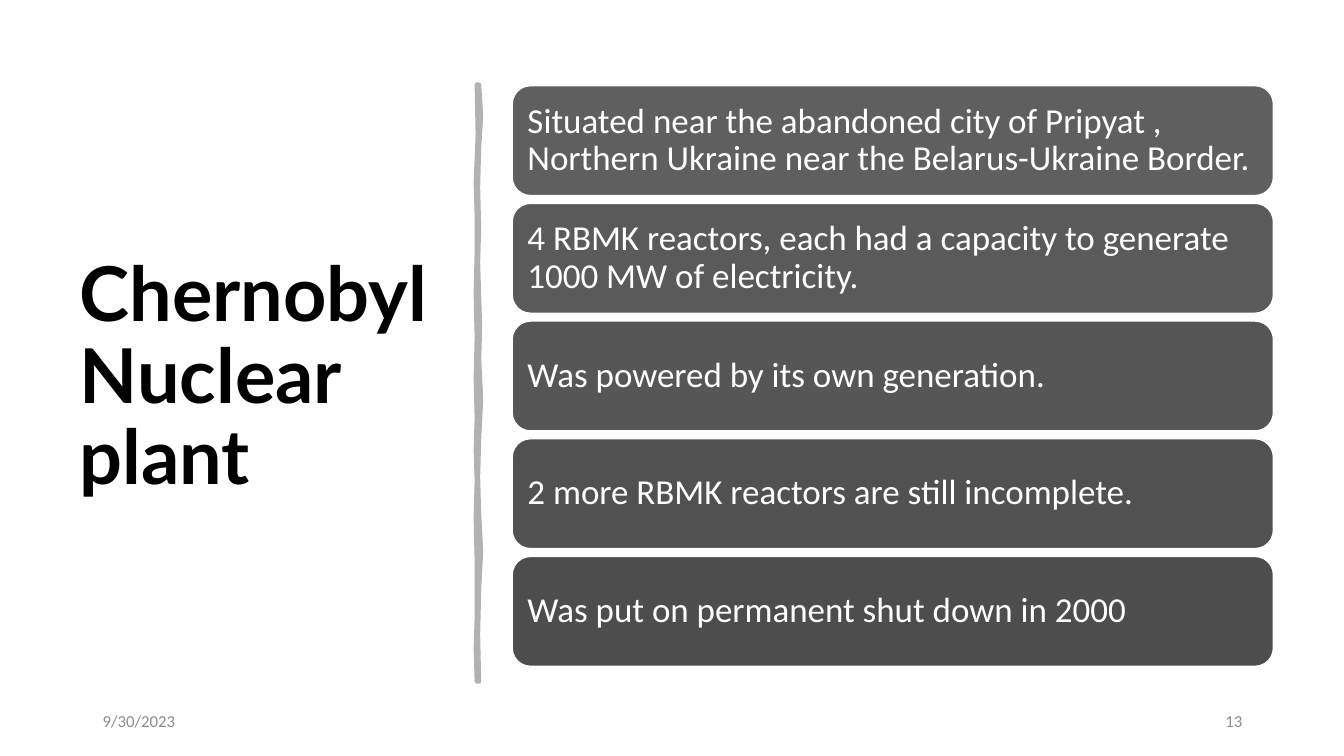
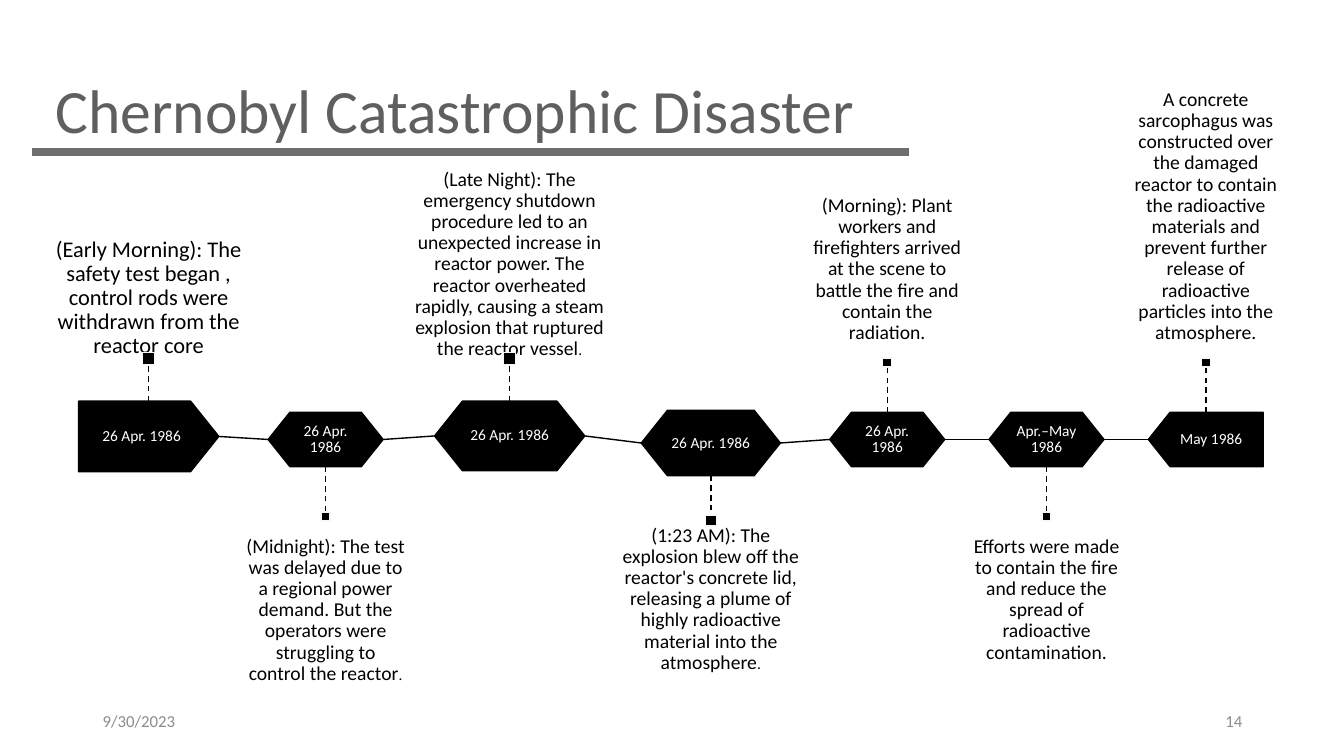
import collections
import itertools

import lxml.etree
import pptx
import pptx.dml.color
import pptx.enum.dml
import pptx.enum.shapes
import pptx.enum.text
import pptx.oxml
import pptx.oxml.ns
import pptx.util

PX = 9144  # one px is a hundredth of an inch
SLIDE_WIDTH, SLIDE_HEIGHT = 1333, 750
BODY_FONT, HEADLINE_FONT = "Calibri", "Lato"
BLACK, WHITE, FOOTER_GRAY = "000000", "FFFFFF", "8C8C8C"
DIVIDER_GRAY, RULE_GRAY, MARKER_EDGE = "B2B2B2", "6E6E6E", "F8F8F8"
TITLE_GRADIENT = [(0, "303030"), (50, "5F5F5F"), (100, "9F9F9F")]

SHAPE = pptx.enum.shapes.MSO_SHAPE
ALIGN = pptx.enum.text.PP_ALIGN
ANCHOR = pptx.enum.text.MSO_ANCHOR

CARDS = [
    ("5F5F5F", "Situated near the abandoned city of Pripyat , "
               "Northern Ukraine near the Belarus-Ukraine Border."),
    ("5A5A5A", "4 RBMK reactors, each had a capacity to generate 1000 MW of electricity."),
    ("565656", "Was powered by its own generation."),
    ("515151", "2 more RBMK reactors are still incomplete."),
    ("4D4D4D", "Was put on permanent shut down in 2000"),
]

# Offsets of the hand-drawn divider, as (x, y) from the top of its box
DIVIDER_OUTLINE = [
    (4, 0), (6, 31), (4, 62), (3, 102), (4, 142), (3, 176), (4, 210), (5, 241),
    (4, 272), (6, 312), (4, 352), (3, 389), (4, 426), (6, 463), (4, 500), (3, 546),
    (4, 592), (2, 592), (1, 560), (2, 529), (2, 473), (1, 430), (2, 393), (1, 362),
    (2, 331), (1, 290), (2, 251), (1, 208), (2, 166), (2, 130), (1, 97), (3, 50), (2, 0),
]

Milestone = collections.namedtuple(
    "Milestone",
    "date text column badge_top badge_width badge_height marker stem above "
    "callout_top callout_height size stop",
    defaults=(14, ""))

MILESTONES = [
    Milestone("26 Apr. 1986",
              "(Early Morning): The safety test began , control rods were "
              "withdrawn from the reactor core",
              193, 398, 139, 70, 12, 36, True, 186, 186, 16),
    Milestone("26 Apr. 1986",
              "(Midnight): The test was delayed due to a regional power demand. "
              "But the operators were struggling to control the reactor",
              158, 409, 114, 54, 9, 45, False, 518, 145, 14, "."),
    Milestone("26 Apr. 1986",
              "(Late Night): The emergency shutdown procedure led to an unexpected "
              "increase in reactor power. The reactor overheated rapidly, causing a "
              "steam explosion that ruptured the reactor vessel",
              207, 398, 149, 69, 12, 36, True, 186, 185, 14, "."),
    Milestone("26 Apr. 1986",
              "(1:23 AM): The explosion blew off the reactor's concrete lid, releasing "
              "a plume of highly radioactive material into the atmosphere",
              192, 407, 138, 65, 11, 39, False, 507, 172, 14, "."),
    Milestone("26 Apr. 1986",
              "(Morning): Plant workers and firefighters arrived at the scene to "
              "battle the fire and contain the radiation.",
              158, 409, 114, 54, 9, 45, True, 210, 145),
    Milestone("Apr.–May 1986",
              "Efforts were made to contain the fire and reduce the spread of "
              "radioactive contamination.",
              158, 409, 114, 54, 9, 45, False, 518, 145),
    Milestone("May 1986",
              "A concrete sarcophagus was constructed over the damaged reactor to "
              "contain the radioactive materials and prevent further release of "
              "radioactive particles into the atmosphere.",
              158, 409, 114, 54, 9, 45, True, 210, 145),
]


def px(length):
    return pptx.util.Emu(round(length * PX))


def rgb(color):
    return pptx.dml.color.RGBColor.from_string(color)


def add_span(para, text, size, color=BLACK, font=BODY_FONT, bold=False):
    span = para.add_run()
    span.text = text
    span.font.size = pptx.util.Pt(size)
    span.font.name = font
    span.font.bold = bold
    span.font.color.rgb = rgb(color)
    return span


def write(shape, text, align=ALIGN.LEFT, anchor=ANCHOR.MIDDLE, inset=(10, 5),
          spacing=None, **style):
    """Fill a shape with one paragraph and return that paragraph."""
    frame = shape.text_frame
    frame.word_wrap = True
    frame.auto_size = pptx.enum.text.MSO_AUTO_SIZE.NONE
    frame.vertical_anchor = anchor
    frame.margin_left = frame.margin_right = px(inset[0])
    frame.margin_top = frame.margin_bottom = px(inset[1])
    para = frame.paragraphs[0]
    para.alignment = align
    para.line_spacing = spacing
    add_span(para, text, **style)
    return para


def add_text(page, box, text, **style):
    return write(page.shapes.add_textbox(*map(px, box)), text, **style)


def paint(shape, fill, line, width=1):
    shape.shadow.inherit = False
    shape.fill.solid()
    shape.fill.fore_color.rgb = rgb(fill)
    shape.line.color.rgb = rgb(line)
    shape.line.width = pptx.util.Pt(width)


def add_block(page, kind, box, fill, line):
    block = page.shapes.add_shape(kind, *map(px, box))
    paint(block, fill, line)
    return block


def add_line(page, start, end, color=BLACK, width=1, dashed=False):
    line = page.shapes.add_connector(
        pptx.enum.shapes.MSO_CONNECTOR.STRAIGHT, *map(px, (*start, *end)))
    line.line.color.rgb = rgb(color)
    line.line.width = pptx.util.Pt(width)
    if dashed:
        line.line.dash_style = pptx.enum.dml.MSO_LINE.DASH
    lxml.etree.SubElement(line._element.spPr, pptx.oxml.ns.qn("a:effectLst"))


def add_title(page, box, text, **style):
    title = page.shapes.title
    title.left, title.top, title.width, title.height = map(px, box)
    return write(title, text, **style)


def apply_gradient(span, stops):
    """Replace the solid fill of a span with a vertical gradient."""
    stop_xml = "".join(
        f'<a:gs pos="{place * 1000}"><a:srgbClr val="{color}"/></a:gs>'
        for place, color in stops)
    gradient = pptx.oxml.parse_xml(
        f'<a:gradFill {pptx.oxml.ns.nsdecls("a")}><a:gsLst>{stop_xml}</a:gsLst>'
        '<a:lin ang="5400000" scaled="0"/></a:gradFill>')
    properties = span.font._element
    solid = properties.find(pptx.oxml.ns.qn("a:solidFill"))
    properties.replace(solid, gradient)


def add_page(deck, number):
    """Add a title-only slide with the shared footer."""
    page = deck.slides.add_slide(deck.slide_layouts[5])
    for left, text, align in ((92, "9/30/2023", ALIGN.LEFT), (942, str(number), ALIGN.RIGHT)):
        add_text(page, (left, 695, 300, 40), text, align=align, size=12, color=FOOTER_GRAY)
    return page


def add_divider(page, left, top):
    points = [(px(left + x), px(top + y)) for x, y in DIVIDER_OUTLINE]
    builder = page.shapes.build_freeform(*points[0])
    builder.add_line_segments(points[1:], close=True)
    paint(builder.convert_to_shape(), DIVIDER_GRAY, DIVIDER_GRAY, 3.25)


def add_cards(page, box, cards, card_height=109):
    left, top, width, height = box
    pitch = (height - card_height) / (len(cards) - 1)
    for index, (fill, text) in enumerate(cards):
        card = add_block(page, SHAPE.ROUNDED_RECTANGLE,
                         (left, top + index * pitch, width, card_height), fill, WHITE)
        write(card, text, inset=(10, 10), spacing=0.9, size=25, color=WHITE)


def add_badge(page, kind, box, date, flipped=False):
    badge = add_block(page, kind, box, BLACK, BLACK)
    badge.adjustments[0] = 0.4
    if flipped:
        badge._element.spPr.xfrm.set("flipH", "1")
    write(badge, date, align=ALIGN.CENTER, inset=(9, 9), spacing=0.9, size=11, color=WHITE)


def add_milestone(page, left, kind, item, flipped):
    """Place one column: callout, badge, stem and marker."""
    center = left + item.column / 2
    badge_left = center - item.badge_width / 2
    para = add_text(page, (left, item.callout_top, item.column, item.callout_height),
                    item.text, align=ALIGN.CENTER, spacing=0.9, size=item.size,
                    anchor=ANCHOR.BOTTOM if item.above else ANCHOR.TOP,
                    inset=(0, item.size))
    if item.stop:
        add_span(para, item.stop, 11)
    add_badge(page, kind, (badge_left, item.badge_top, item.badge_width, item.badge_height),
              item.date, flipped)
    if item.above:
        stem_start = item.badge_top
        stem_end = stem_start - item.stem
        marker_top = stem_end - item.marker
    else:
        stem_start = item.badge_top + item.badge_height
        marker_top = stem_end = stem_start + item.stem
    add_line(page, (center, stem_start), (center, stem_end), dashed=True)
    add_block(page, SHAPE.RECTANGLE,
              (center - item.marker / 2, marker_top, item.marker, item.marker),
              BLACK, MARKER_EDGE)
    middle = item.badge_top + item.badge_height / 2
    return (badge_left, middle), (badge_left + item.badge_width, middle)


def add_timeline(page, left, milestones):
    last = len(milestones) - 1
    ends = []
    for index, item in enumerate(milestones):
        kind = SHAPE.PENTAGON if index in (0, last) else SHAPE.HEXAGON
        ends.append(add_milestone(page, left, kind, item, flipped=index == last))
        left += item.column
    # Links between neighbouring badges
    for before, after in itertools.pairwise(ends):
        add_line(page, before[1], after[0])


def build_plant_page(deck):
    page = add_page(deck, 13)
    add_title(page, (69, 70, 374, 611), "Chernobyl Nuclear plant",
              spacing=0.9, size=54, font=HEADLINE_FONT, bold=True)
    add_divider(page, 471, 84)
    add_cards(page, (508, 85, 755, 576), CARDS)


def build_disaster_page(deck):
    page = add_page(deck, 14)
    para = add_title(page, (0, 66, 903, 84), "Chernobyl Catastrophic Disaster",
                     align=ALIGN.CENTER, anchor=ANCHOR.TOP, size=44)
    apply_gradient(para.runs[0], TITLE_GRADIENT)
    add_line(page, (32, 151), (902, 151), RULE_GRAY, 6)
    add_timeline(page, 51, MILESTONES)


def main():
    deck = pptx.Presentation()
    deck.slide_width, deck.slide_height = px(SLIDE_WIDTH), px(SLIDE_HEIGHT)
    build_plant_page(deck)
    build_disaster_page(deck)
    deck.save("out.pptx")


if __name__ == "__main__":
    main()
